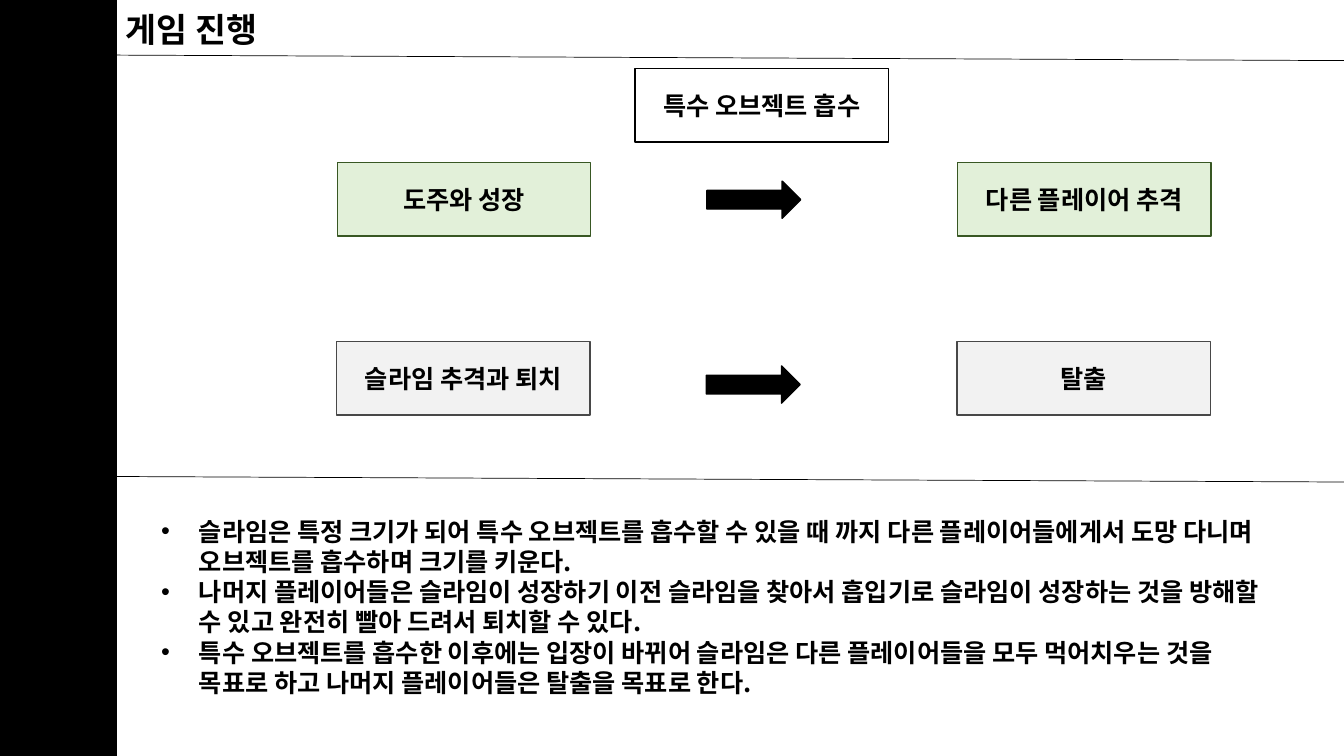
from lxml import etree
from pptx import Presentation
from pptx.dml.color import RGBColor
from pptx.enum.shapes import MSO_CONNECTOR as CONNECTOR, MSO_SHAPE as SHAPE
from pptx.enum.text import MSO_ANCHOR as ANCHOR, MSO_AUTO_SIZE as AUTO_SIZE, PP_ALIGN as ALIGN
from pptx.oxml.ns import qn
from pptx.util import Pt

FONT = "Noto Sans CJK KR"
WIDTH, HEIGHT = 960, 540
SIDEBAR_WIDTH = 82.8
STAGE_WIDTH, STAGE_HEIGHT = 181, 52.6
ARROW_WIDTH, ARROW_HEIGHT = 67, 26.6
COLORS = {
    "black": "000000",
    "white": "FFFFFF",
    "green": "E2F0D9",
    "green_line": "385723",
    "gray": "F2F2F2",
    "gray_line": "484848",
}
RULES = [
    "슬라임은 특정 크기가 되어 특수 오브젝트를 흡수할 수 있을 때 까지 다른 플레이어들에게서 도망 다니며 오브젝트를 흡수하며 크기를 키운다.",
    "나머지 플레이어들은 슬라임이 성장하기 이전 슬라임을 찾아서 흡입기로 슬라임이 성장하는 것을 방해할 수 있고 완전히 빨아 드려서 퇴치할 수 있다.",
    "특수 오브젝트를 흡수한 이후에는 입장이 바뀌어 슬라임은 다른 플레이어들을 모두 먹어치우는 것을 목표로 하고 나머지 플레이어들은 탈출을 목표로 한다.",
]


def color(name):
    """Return the named colour."""
    return RGBColor.from_string(COLORS[name])


def style_paragraph(paragraph, size):
    """Set the bold black Korean font of a paragraph."""
    font = paragraph.font
    font.size, font.bold, font.name = Pt(size), True, FONT
    font.color.rgb = color("black")
    properties = paragraph._p.pPr.find(qn("a:defRPr"))
    etree.SubElement(properties, qn("a:ea"), typeface=FONT)


def add_block(slide, kind, box, fill, line):
    """Add a filled and outlined preset shape."""
    shape = slide.shapes.add_shape(kind, *map(Pt, box))
    shape.shadow.inherit = False
    shape.fill.solid()
    shape.fill.fore_color.rgb = color(fill)
    shape.line.color.rgb = color(line)
    shape.line.width = Pt(1)
    return shape


def add_stage(slide, left, top, text, fill, line):
    """Add a box naming one stage of the game."""
    box = (left, top, STAGE_WIDTH, STAGE_HEIGHT)
    shape = add_block(slide, SHAPE.RECTANGLE, box, fill, line)
    frame = shape.text_frame
    frame.vertical_anchor = ANCHOR.MIDDLE
    frame.word_wrap = True
    paragraph = frame.paragraphs[0]
    paragraph.text = text
    paragraph.alignment = ALIGN.CENTER
    style_paragraph(paragraph, 18)


def add_stage_row(slide, box, texts, tone, arrow_drop):
    """Add two stages at the ends of a box and an arrow between them."""
    left, top, width = box
    for stage_left, text in zip((left, left + width - STAGE_WIDTH), texts):
        add_stage(slide, stage_left, top, text, tone, f"{tone}_line")
    arrow = (left + 264, top + arrow_drop, ARROW_WIDTH, ARROW_HEIGHT)
    add_block(slide, SHAPE.RIGHT_ARROW, arrow, "black", "black")


def add_divider(slide, top):
    """Add a thin, slightly falling line across the slide."""
    line = slide.shapes.add_connector(
        CONNECTOR.STRAIGHT, Pt(0), Pt(top), Pt(WIDTH), Pt(top + 4.3))
    line.line.color.rgb = color("black")
    line.line.width = Pt(0.5)
    etree.SubElement(line._element.spPr, qn("a:effectLst"))


def add_title(slide, box, text):
    """Add the slide title."""
    frame = slide.shapes.add_textbox(*map(Pt, box)).text_frame
    frame.word_wrap = False
    frame.auto_size = AUTO_SIZE.SHAPE_TO_FIT_TEXT
    frame.text = text
    style_paragraph(frame.paragraphs[0], 24)


def add_rules(slide, box, rules):
    """Add the bulleted rules of the game."""
    frame = slide.shapes.add_textbox(*map(Pt, box)).text_frame
    frame.word_wrap = True
    frame.auto_size = AUTO_SIZE.SHAPE_TO_FIT_TEXT
    frame.text = "\n".join(rules)
    for paragraph in frame.paragraphs:
        properties = paragraph._p.get_or_add_pPr()
        properties.set("marL", str(Pt(27)))
        properties.set("indent", str(Pt(-27)))
        etree.SubElement(properties, qn("a:buFont"), typeface="Arial")
        etree.SubElement(properties, qn("a:buChar"), char="•")
        style_paragraph(paragraph, 18)


def build_progress_slide(presentation):
    """Build the slide on how the game proceeds."""
    slide = presentation.slides.add_slide(presentation.slide_layouts[6])
    add_divider(slide, 39)
    add_title(slide, (SIDEBAR_WIDTH, 3, 120, 36), "게임 진행")
    add_block(slide, SHAPE.RECTANGLE, (0, 0, SIDEBAR_WIDTH, HEIGHT), "black", "black")
    add_stage(slide, 453.6, 49, "특수 오브젝트 흡수", "white", "black")
    add_stage_row(slide, (241, 116, 624), ("도주와 성장", "다른 플레이어 추격"), "green", 13.4)
    add_stage_row(slide, (240.5, 244, 624), ("슬라임 추격과 퇴치", "탈출"), "gray", 17.4)
    add_divider(slide, 340)
    add_rules(slide, (108, 365, 807, 138), RULES)


def main():
    """Create and save the presentation."""
    presentation = Presentation()
    presentation.slide_width, presentation.slide_height = Pt(WIDTH), Pt(HEIGHT)
    build_progress_slide(presentation)
    presentation.save("out.pptx")


if __name__ == "__main__":
    main()
